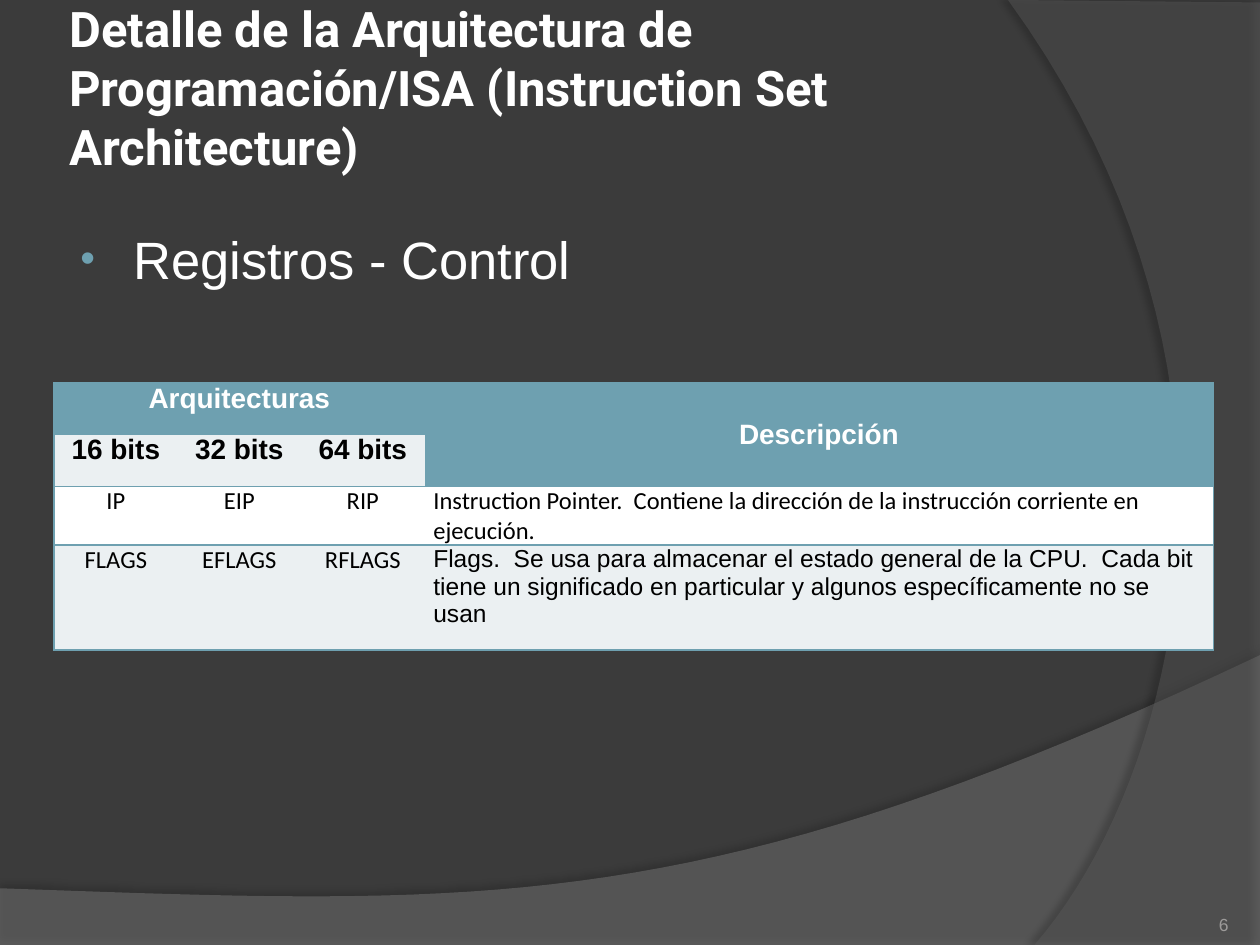
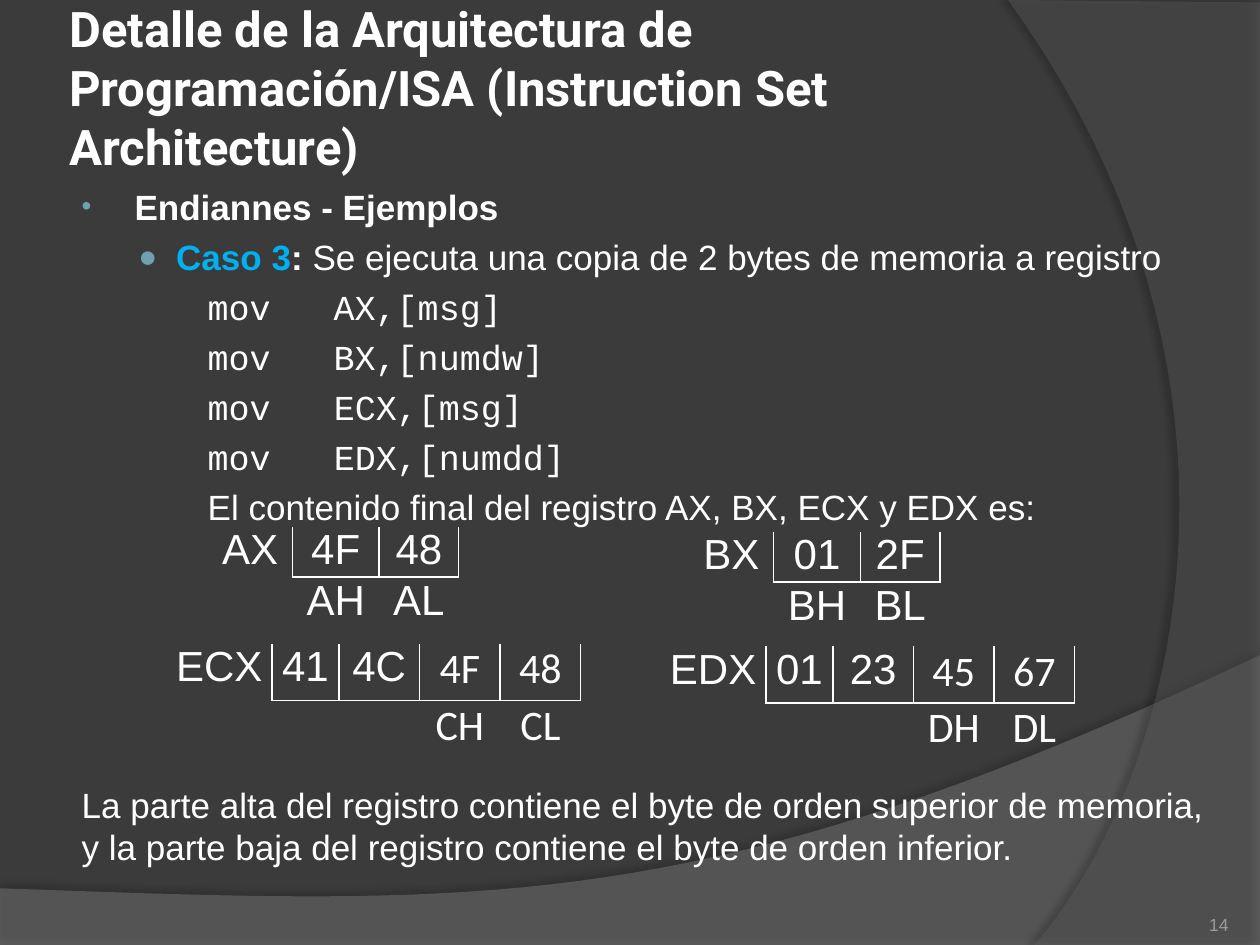
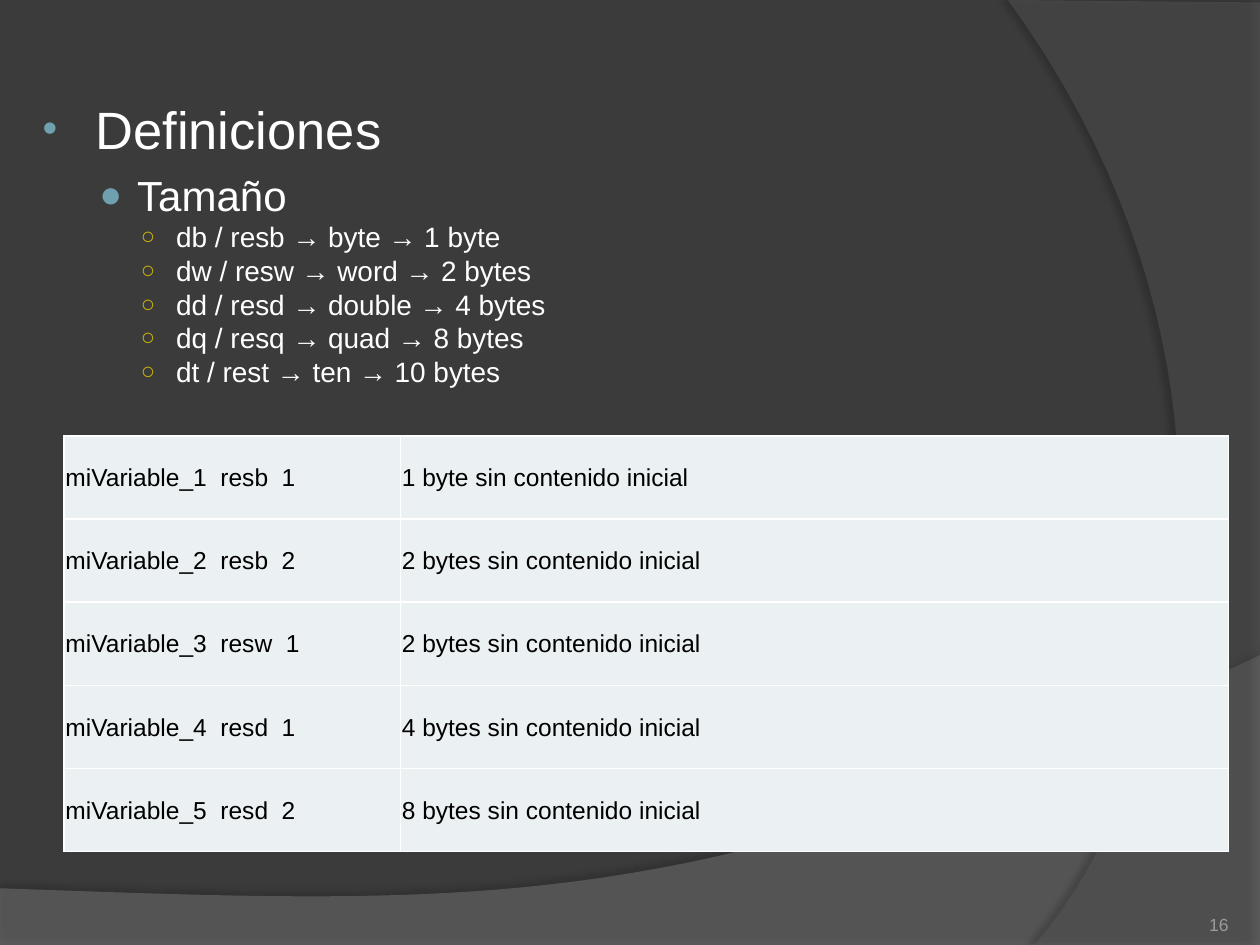
"""Build three slides on registers, byte order and data definitions."""
import lxml.etree
import pptx
import pptx.dml.color
import pptx.enum.text
import pptx.oxml.ns
import pptx.util

Inches = pptx.util.Inches
Pt = pptx.util.Pt
qn = pptx.oxml.ns.qn
add = lxml.etree.SubElement
align = pptx.enum.text.PP_ALIGN
anchor = pptx.enum.text.MSO_ANCHOR

hues = {
    "back": "3B3B3B", "wave": "7F7F7F", "arc": "5E5E5E", "white": "FFFFFF",
    "black": "000000", "teal": "6EA0B0", "gold": "CCAF0A", "pale": "EBF0F2",
    "sky": "00B0F0", "gray": "9D9B9A",
}
color = {name: pptx.dml.color.RGBColor.from_string(code) for name, code in hues.items()}


def ink(par, size, hue="white", font="Arial", bold=False):
    for run in par.runs:
        run.font.size = Pt(size)
        run.font.name = font
        run.font.bold = bold
        run.font.color.rgb = color[hue]


def grid(page, left, top, cols, highs, rows, edges, line, size, hue, fill, pads):
    frame = page.shapes.add_table(
        len(rows), len(cols), Inches(left), Inches(top), Inches(sum(cols)), Inches(sum(highs)))
    table = frame.table
    table.first_row = table.horz_banding = False
    table._tbl.tblPr[0].text = "{2D5ABB26-0587-4C30-8999-92F81FD0307C}"
    for col, wide in zip(table.columns, cols):
        col.width = Inches(wide)
    for row, high in zip(table.rows, highs):
        row.height = Inches(high)
    for r, row in enumerate(rows):
        for c, text in enumerate(row):
            cell = table.cell(r, c)
            cell.margin_left, cell.margin_top, cell.margin_right, cell.margin_bottom = map(Inches, pads)
            for side in edges(r, c):
                rule = add(cell._tc.get_or_add_tcPr(), qn("a:ln" + side), w="12700")
                add(add(rule, qn("a:solidFill")), qn("a:srgbClr"), val=hues[line])
            if fill:
                cell.fill.solid()
                cell.fill.fore_color.rgb = color[fill]
            else:
                cell.fill.background()
            par = cell.text_frame.paragraphs[0]
            par.text = text
            par.alignment = align.CENTER
            ink(par, size, hue)
    return table


deck = pptx.Presentation()
deck.slide_width, deck.slide_height = Inches(10), Inches(7.5)

bands = [
    ("wave", 45, 35, 3.5, 270, [(0, 7.05), (0, 7.5), (10, 7.5)],
     [(10, 5.2), (5.59, 7.29), (3.91, 7.19), (0, 7.05)]),
    ("arc", 40, 45, 4, 180, [(8, 0), (10, 0.02), (10, 7.5)],
     [(8.21, 7.5), (9.35, 6.19), (10.18, 3), (8, 0)]),
]
kinds = {
    "dot": (0, 0.46, -0.42, "•", "teal", 80),
    "disc": (1, 0.79, -0.3, "●", "teal", 90),
    "ring": (2, 1.1, -0.28, "○", "gold", 85),
    "code": (0, 1.04, 0, "", "", 0),
    "flat": (0, 0.04, 0, "", "", 0),
}
head = "Detalle de la Arquitectura de Programación/ISA (Instruction Set Architecture)"
moves = ["mov\tAX,[msg]", "mov\tBX,[numdw]", "mov   ECX,[msg]", "mov   EDX,[numdd]"]
sizes = [
    "db / resb → byte → 1 byte", "dw / resw → word → 2 bytes", "dd / resd → double → 4 bytes",
    "dq / resq → quad → 8 bytes", "dt / rest → ten → 10 bytes",
]
plan = [
    ("6", head, (0.5, 1.75, 8.17, 0.9), [("dot", "Registros - Control", 30, "Arial", False, 0)]),
    ("14", head, (0.51, 1.42, 9.24, 5.61), [
        ("dot", "Endiannes - Ejemplos", 20, "Arial", True, 0),
        ("disc", "Caso 3", 20, "Arial", True, 4.6),
        *[("code", move, 20, "Courier New", False, 4.6) for move in moves],
        ("code", "El contenido final del registro AX, BX, ECX y EDX es:", 20, "Arial", False, 4.6),
        ("flat", "La parte alta del registro contiene el byte de orden superior de memoria, "
         "y la parte baja del registro contiene el byte de orden inferior.", 20, "Arial", False, 146),
    ]),
    ("16", "", (0.2, 0.72, 9.61, 5.78), [
        ("dot", "Definiciones", 30, "Arial", False, 0),
        ("disc", "Tamaño", 24, "Arial", False, 5.5),
        *[("ring", size, 16, "Arial", False, 0) for size in sizes],
    ]),
]

pages, bodies = [], []
for number, title, box, lines in plan:
    page = deck.slides.add_slide(deck.slide_layouts[6])
    page.background.fill.solid()
    page.background.fill.fore_color.rgb = color["back"]
    for hue, clear, dark, far, turn, points, bend in bands:
        curve = []
        for step in range(41):
            t = step / 40
            parts = [(1 - t) ** 3, 3 * t * (1 - t) ** 2, 3 * t * t * (1 - t), t ** 3]
            curve.append(tuple(sum(p * knot[k] for p, knot in zip(parts, bend)) for k in (0, 1)))
        path = [(Inches(x), Inches(y)) for x, y in points + curve]
        draft = page.shapes.build_freeform(*path[0])
        draft.add_line_segments(path[1:], close=True)
        band = draft.convert_to_shape()
        band.fill.solid()
        band.fill.fore_color.rgb = color[hue]
        band.line.fill.background()
        band.shadow.inherit = False
        look = band._element.spPr
        add(look.find(".//" + qn("a:srgbClr")), qn("a:alpha"), val=str(clear * 1000))
        shade = add(look.find(qn("a:effectLst")), qn("a:outerShdw"), blurRad=str(Pt(4)),
                    dist=str(Pt(far)), dir=str(turn * 60000), algn="ctr", rotWithShape="0")
        add(add(shade, qn("a:srgbClr"), val=hues["black"]), qn("a:alpha"), val=str(dark * 1000))

    foot = page.shapes.add_textbox(Inches(8.92), Inches(7.02), Inches(0.83), Inches(0.4)).text_frame
    foot.margin_left = foot.margin_right = foot.margin_top = foot.margin_bottom = 0
    foot.vertical_anchor = anchor.BOTTOM
    foot.word_wrap = True
    foot.text = number
    foot.paragraphs[0].alignment = align.RIGHT
    ink(foot.paragraphs[0], 10, "gray")

    body = page.shapes.add_textbox(*map(Inches, box)).text_frame
    body.word_wrap = True
    for n, (kind, text, size, font, bold, space) in enumerate(lines):
        par = body.add_paragraph() if n else body.paragraphs[0]
        level, left, hang, mark, tint, scale = kinds[kind]
        par.text = text
        par.level = level
        par.space_before = Pt(space)
        props = par._p.get_or_add_pPr()
        props.set("marL", str(Inches(left)))
        props.set("indent", str(Inches(hang)))
        if mark:
            add(add(props, qn("a:buClr")), qn("a:srgbClr"), val=hues[tint])
            add(props, qn("a:buSzPct"), val=str(scale * 1000))
            add(props, qn("a:buFont"), typeface="Arial")
            add(props, qn("a:buChar"), char=mark)
        ink(par, size, "white", font, bold)

    if title:
        top = page.shapes.add_textbox(Inches(0.5), Inches(0.3), Inches(8.17), Inches(1.25)).text_frame
        top.margin_left = top.margin_top = top.margin_right = Inches(0.05)
        top.margin_bottom = Inches(0.52)
        top.vertical_anchor = anchor.MIDDLE
        top.word_wrap = True
        top.text = title
        ink(top.paragraphs[0], 28, "white", "Roboto", True)
    pages.append(page)
    bodies.append(body)

rows = [
    ["Arquitecturas", "", "", "Descripción"],
    ["16 bits", "32 bits", "64 bits", ""],
    ["IP", "EIP", "RIP",
     "Instruction Pointer.  Contiene la dirección de la instrucción corriente en ejecución."],
    ["FLAGS", "EFLAGS", "RFLAGS",
     "Flags.  Se usa para almacenar el estado general de la CPU.  "
     "Cada bit tiene un significado en particular y algunos específicamente no se usan"],
]
slim = (0.07, 0, 0.07, 0)
table = grid(pages[0], 0.43, 3.04, [0.98] * 3 + [6.26], [0.41, 0.41, 0.43, 0.83], rows,
             lambda r, c: {0: "LTB", 3: "RTB"}.get(c, "TB"), "teal", 14, "black", "pale", slim)
for r in range(4):
    for c in range(4):
        cell = table.cell(r, c)
        par = cell.text_frame.paragraphs[0]
        if r == 0 or (r, c) == (1, 3):
            cell.fill.fore_color.rgb = color["teal"]
            ink(par, 16, "white", bold=True)
        elif r == 1:
            ink(par, 16, "black", bold=True)
        else:
            ink(par, 14, "black", "Arial" if (r, c) == (3, 3) else "Calibri")
            if r == 2:
                cell.fill.fore_color.rgb = color["white"]
            if c == 3:
                par.alignment = align.LEFT
table.cell(0, 0).merge(table.cell(0, 2))
table.cell(0, 3).merge(table.cell(1, 3))
table.cell(0, 3).vertical_anchor = anchor.MIDDLE

case = bodies[1].paragraphs[1]
for text in (": ", "Se ejecuta una copia de 2 bytes de memoria a registro"):
    case.add_run().text = text
ink(case, 20, bold=True)
case.runs[0].font.color.rgb = color["sky"]
case.runs[2].font.bold = False

short = ([0.67, 0.69, 0.63], [0.37, 0.37])
long = ([0.84, 0.53, 0.64, 0.64, 0.64], [0.45, 0.45])
banks = [
    (1.65, 4.18, short, ["AX", "4F", "48"], ["", "AH", "AL"]),
    (5.47, 4.22, short, ["BX", "01", "2F"], ["", "BH", "BL"]),
    (1.32, 5.11, long, ["ECX", "41", "4C", "4F", "48"], ["", "", "", "CH", "CL"]),
    (5.24, 5.13, long, ["EDX", "01", "23", "45", "67"], ["", "", "", "DH", "DL"]),
]
for left, top, (cols, highs), *rows in banks:
    table = grid(pages[1], left, top, cols, highs, rows,
                 lambda r, c: ("LRB" if c else "R") if r == 0 else ("T" if c else ""),
                 "white", 24, "white", None, slim)
    for row in table.rows:
        for cell in list(row.cells)[3:]:
            ink(cell.text_frame.paragraphs[0], 24, font="Calibri")

items = [("resb", 1, "1 byte"), ("resb", 2, "2 bytes"), ("resw", 1, "2 bytes"),
         ("resd", 1, "4 bytes"), ("resd", 2, "8 bytes")]
rows = [[f"miVariable_{n}  {code}  {count}", f"{size} sin contenido inicial"]
        for n, (code, count, size) in enumerate(items, 1)]
table = grid(pages[2], 0.51, 3.46, [2.67, 6.57], [0.66] * 5, rows,
             lambda r, c: "LRTB", "white", 14, "black", "pale", (0.01, 0.01, 0.01, 0))
for cell in table.iter_cells():
    cell.vertical_anchor = anchor.MIDDLE
    cell.text_frame.paragraphs[0].alignment = align.JUSTIFY

deck.save("out.pptx")
